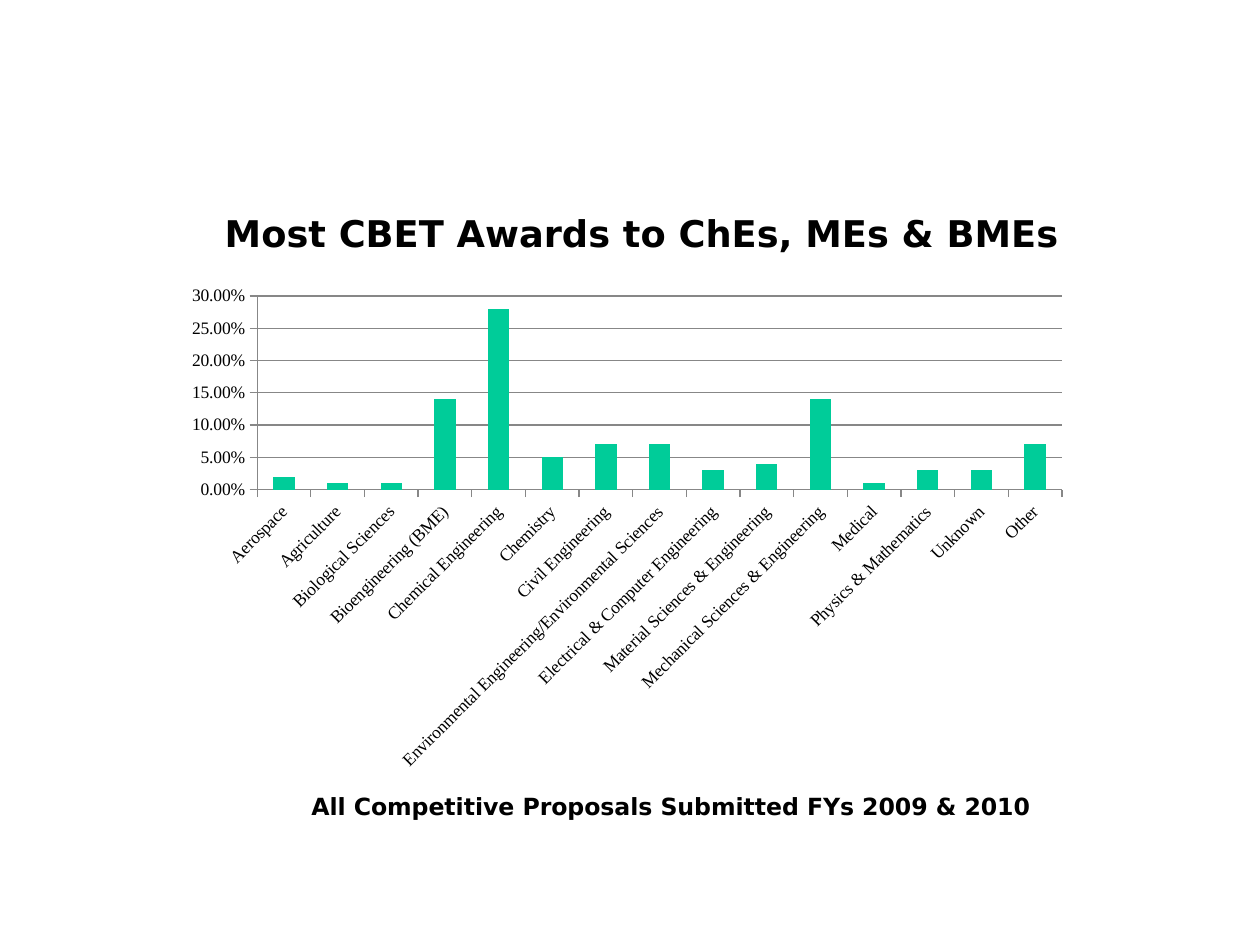
from pptx import Presentation
from pptx.chart.data import CategoryChartData
from pptx.dml.color import RGBColor
from pptx.enum.chart import XL_CHART_TYPE, XL_TICK_MARK
from pptx.enum.text import MSO_ANCHOR, PP_ALIGN
from pptx.oxml.ns import qn
from pptx.util import Emu, Pt

BLACK = RGBColor(0, 0, 0)
GREEN = RGBColor(0, 0xCC, 0x99)
GRAY = RGBColor(0x87, 0x87, 0x87)
HEAD_FONT = "DejaVu Sans"
CHART_FONT = "Times New Roman"

AWARDS = [
    ("Aerospace", 0.02),
    ("Agriculture", 0.01),
    ("Biological Sciences", 0.01),
    ("Bioengineering (BME)", 0.14),
    ("Chemical Engineering", 0.28),
    ("Chemistry", 0.05),
    ("Civil Engineering", 0.07),
    ("Environmental Engineering/Environmental Sciences", 0.07),
    ("Electrical & Computer Engineering", 0.03),
    ("Material Sciences & Engineering", 0.04),
    ("Mechanical Sciences & Engineering", 0.14),
    ("Medical", 0.01),
    ("Physics & Mathematics", 0.03),
    ("Unknown", 0.03),
    ("Other", 0.07),
]


def px(n):
    return Emu(round(n * 914400 / 126))


def set_font(font, name, size):
    font.name, font.size = name, Pt(size)
    font.color.rgb = BLACK


def set_text(shape, text, size, align, wrap):
    frame = shape.text_frame
    frame.text = text
    frame.word_wrap = wrap
    frame.vertical_anchor = MSO_ANCHOR.TOP
    para = frame.paragraphs[0]
    para.alignment = align
    font = para.runs[0].font
    set_font(font, HEAD_FONT, size)
    font.bold = True


def add_title(slide, text):
    title = slide.shapes.title
    title.left, title.top, title.width, title.height = map(px, (157, 204, 969, 57))
    set_text(title, text, 21, PP_ALIGN.CENTER, True)


def add_note(slide, text):
    box = slide.shapes.add_textbox(*map(px, (299, 786, 752, 42)))
    set_text(box, text, 13.5, PP_ALIGN.LEFT, False)


def style_axes(chart):
    cats, vals = chart.category_axis, chart.value_axis
    for axis in (cats, vals):
        axis.major_tick_mark = XL_TICK_MARK.OUTSIDE
        axis.minor_tick_mark = XL_TICK_MARK.NONE
        axis.format.line.color.rgb = GRAY
        set_font(axis.tick_labels.font, CHART_FONT, 10)
    cats.has_major_gridlines = False
    body = cats._element.find(qn("c:txPr")).find(qn("a:bodyPr"))
    body.set("rot", "-2700000")
    body.set("vert", "horz")
    vals.has_major_gridlines = True
    vals.major_gridlines.format.line.color.rgb = GRAY
    vals.tick_labels.number_format = "0.00%"
    vals.tick_labels.number_format_is_linked = False


def add_bars(slide, rows):
    names, shares = zip(*rows)
    data = CategoryChartData()
    data.categories = names
    data.add_series("Series 1", shares)
    chart = slide.shapes.add_chart(
        XL_CHART_TYPE.COLUMN_CLUSTERED, *map(px, (174, 276, 906, 504)), data
    ).chart
    chart.has_legend = False
    chart.has_title = False
    set_font(chart.font, CHART_FONT, 10)
    plot = chart.plots[0]
    plot.gap_width = 150
    plot.vary_by_categories = False
    fill = plot.series[0].format.fill
    fill.solid()
    fill.fore_color.rgb = GREEN
    style_axes(chart)


def main():
    deck = Presentation()
    deck.slide_width, deck.slide_height = px(1260), px(945)
    slide = deck.slides.add_slide(deck.slide_layouts[5])
    add_note(slide, "All Competitive Proposals Submitted FYs 2009 & 2010")
    add_title(slide, "Most CBET Awards to ChEs, MEs & BMEs")
    add_bars(slide, AWARDS)
    deck.save("out.pptx")


if __name__ == "__main__":
    main()
